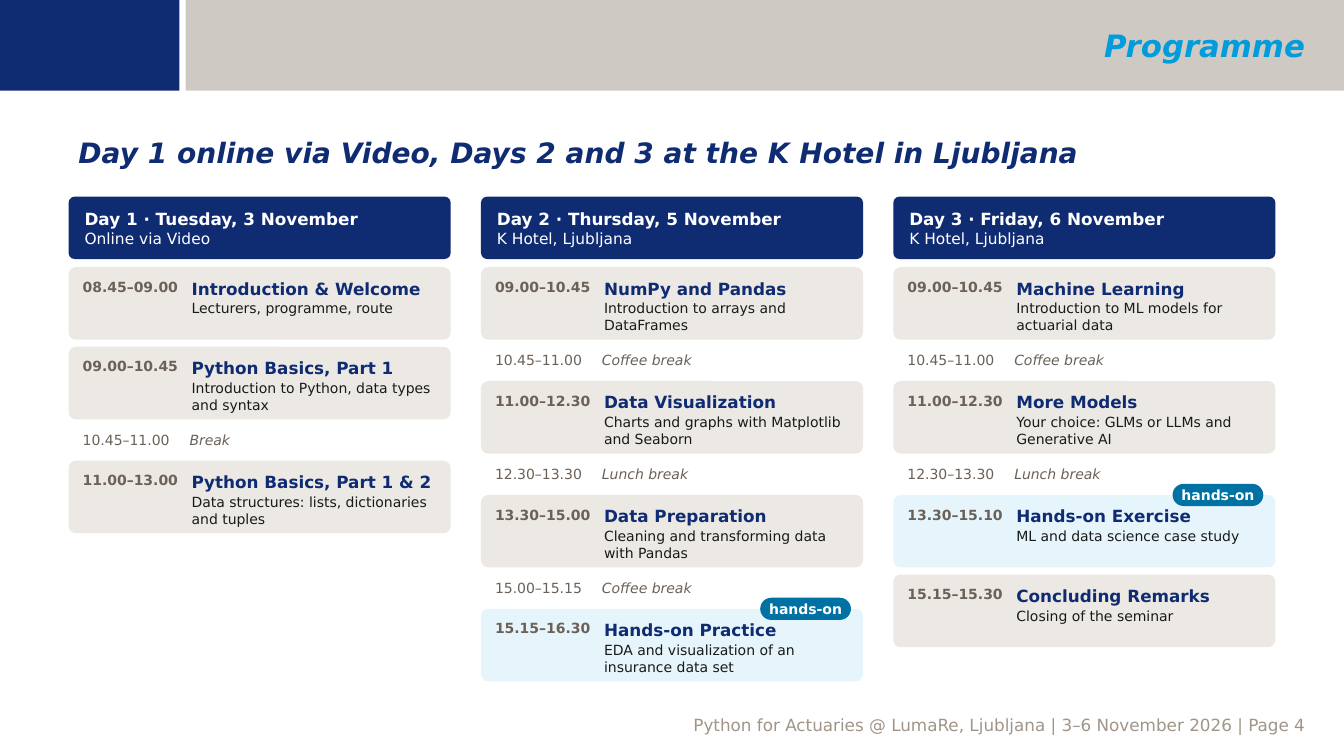
import pptx
import pptx.dml.color
import pptx.enum.shapes
import pptx.enum.text
import pptx.oxml
import pptx.oxml.ns
import pptx.util

RGB = pptx.dml.color.RGBColor
KIND = pptx.enum.shapes.MSO_SHAPE
ALIGN = pptx.enum.text.PP_ALIGN
ANCHOR = pptx.enum.text.MSO_ANCHOR

PX = 9144  # EMU in one px, 100 px to the inch
FONT = "DejaVu Sans"

NAVY = RGB(0x0F, 0x2B, 0x72)
LOGO = RGB(0x0F, 0x2C, 0x73)
STONE = RGB(0xA1, 0x95, 0x89)
SKY = RGB(0x00, 0x9C, 0xDB)
SAND = RGB(0xEC, 0xE9, 0xE5)
ICE = RGB(0xE6, 0xF5, 0xFB)
TEAL = RGB(0x00, 0x71, 0xA3)
BROWN = RGB(0x6B, 0x61, 0x58)
INK = RGB(0x1A, 0x1A, 0x1A)
WHITE = RGB(0xFF, 0xFF, 0xFF)

FLUSH = (0, 0, 0, 0)
CARD_H, BREAK_H, GAP = 72, 27, 7

# A row is (time, title, detail, hands-on); a break has no detail.
DAYS = [
    ("Day 1 · Tuesday, 3 November", "Online via Video", [
        ("08.45–09.00", "Introduction & Welcome", "Lecturers, programme, route", False),
        ("09.00–10.45", "Python Basics, Part 1",
         "Introduction to Python, data types and syntax", False),
        ("10.45–11.00", "Break", None, False),
        ("11.00–13.00", "Python Basics, Part 1 & 2",
         "Data structures: lists, dictionaries and tuples", False),
    ]),
    ("Day 2 · Thursday, 5 November", "K Hotel, Ljubljana", [
        ("09.00–10.45", "NumPy and Pandas", "Introduction to arrays and DataFrames", False),
        ("10.45–11.00", "Coffee break", None, False),
        ("11.00–12.30", "Data Visualization",
         "Charts and graphs with Matplotlib and Seaborn", False),
        ("12.30–13.30", "Lunch break", None, False),
        ("13.30–15.00", "Data Preparation",
         "Cleaning and transforming data with Pandas", False),
        ("15.00–15.15", "Coffee break", None, False),
        ("15.15–16.30", "Hands-on Practice",
         "EDA and visualization of an insurance data set", True),
    ]),
    ("Day 3 · Friday, 6 November", "K Hotel, Ljubljana", [
        ("09.00–10.45", "Machine Learning",
         "Introduction to ML models for actuarial data", False),
        ("10.45–11.00", "Coffee break", None, False),
        ("11.00–12.30", "More Models",
         "Your choice: GLMs or LLMs and Generative AI", False),
        ("12.30–13.30", "Lunch break", None, False),
        ("13.30–15.10", "Hands-on Exercise", "ML and data science case study", True),
        ("15.15–15.30", "Concluding Remarks", "Closing of the seminar", False),
    ]),
]


def block(slide, box, fill, round=None):
    """Add a filled rectangle, with rounded corners if round is given."""
    kind = KIND.RECTANGLE if round is None else KIND.ROUNDED_RECTANGLE
    shape = slide.shapes.add_shape(kind, *(n * PX for n in box))
    if round is not None:
        shape.adjustments[0] = round
    shape.shadow.inherit = False
    shape.fill.solid()
    shape.fill.fore_color.rgb = fill
    shape.line.fill.background()
    return shape


def label(slide, box, text, **style):
    write(slide.shapes.add_textbox(*(n * PX for n in box)), text, **style)


def write(shape, text, size=10, color=BROWN, bold=False, italic=False,
          align=ALIGN.LEFT, anchor=ANCHOR.TOP, pad=(10, 5, 10, 5), above=0):
    """Add a paragraph to a shape; pad is left, top, right, bottom."""
    frame = shape.text_frame
    frame.word_wrap = True
    frame.vertical_anchor = anchor
    (frame.margin_left, frame.margin_top,
     frame.margin_right, frame.margin_bottom) = (n * PX for n in pad)
    para = frame.add_paragraph() if frame.text else frame.paragraphs[0]
    para.alignment = align
    if above:
        para.space_before = pptx.util.Pt(above)
    run = para.add_run()
    run.text = text
    font = run.font
    font.name, font.size = FONT, pptx.util.Pt(size)
    font.bold, font.italic = bold, italic
    font.color.rgb = color


def banner(slide, x, y, w, h):
    band = block(slide, (x + 184, y, w - 184, h), STONE)
    tint = band.fill._xPr.find(".//" + pptx.oxml.ns.qn("a:srgbClr"))
    tint.append(pptx.oxml.parse_xml(
        f'<a:alpha {pptx.oxml.ns.nsdecls("a")} val="50000"/>'))
    block(slide, (x, y, 178, h), LOGO)
    label(slide, (x + 202, y + 3, w - 231, h - 6), "Programme", size=22, color=SKY,
          bold=True, italic=True, align=ALIGN.RIGHT, anchor=ANCHOR.MIDDLE)


def card(slide, x, y, w, time, title, detail, hands):
    shape = block(slide, (x, y, w, CARD_H), ICE if hands else SAND, round=0.1)
    pad = (120, 9, 12, 6)
    write(shape, title, size=12, color=NAVY, bold=True, pad=pad)
    write(shape, detail, color=INK, pad=pad, above=1)
    label(slide, (x + 14, y + 11, 105, 25), time, bold=True, pad=FLUSH)
    if hands:
        badge = block(slide, (x + w - 102, y - 11, 90, 22), TEAL, round=0.5)
        write(badge, "hands-on", color=WHITE, bold=True, align=ALIGN.CENTER,
              anchor=ANCHOR.MIDDLE, pad=FLUSH)


def pause(slide, x, y, w, time, title):
    style = dict(anchor=ANCHOR.MIDDLE, pad=FLUSH)
    label(slide, (x + 14, y, 105, BREAK_H), time, **style)
    label(slide, (x + 120, y, w - 132, BREAK_H), title, italic=True, **style)


def column(slide, x, y, w, day, place, rows):
    head = block(slide, (x, y, w, 62), NAVY, round=0.1)
    style = dict(color=WHITE, anchor=ANCHOR.MIDDLE, pad=(14, 6, 12, 6))
    write(head, day, size=12, bold=True, **style)
    write(head, place, size=11, **style)
    y += 70
    for time, title, detail, hands in rows:
        if detail:
            card(slide, x, y, w, time, title, detail, hands)
            y += CARD_H + GAP
        else:
            pause(slide, x, y, w, time, title)
            y += BREAK_H + GAP


def main():
    deck = pptx.Presentation()
    deck.slide_width, deck.slide_height = 1333 * PX, 750 * PX
    slide = deck.slides.add_slide(deck.slide_layouts[6])
    label(slide, (76, 705, 1229, 9),
          "Python for Actuaries @ LumaRe, Ljubljana | 3–6 November 2026 | Page 4",
          size=12, color=STONE, align=ALIGN.RIGHT)
    banner(slide, 0, 0, 1333, 90)
    label(slide, (68, 130, 1197, 40),
          "Day 1 online via Video, Days 2 and 3 at the K Hotel in Ljubljana",
          size=20, color=NAVY, bold=True, italic=True)
    for i, (day, place, rows) in enumerate(DAYS):
        column(slide, 68 + 409 * i, 195, 379, day, place, rows)
    deck.save("out.pptx")


if __name__ == "__main__":
    main()
